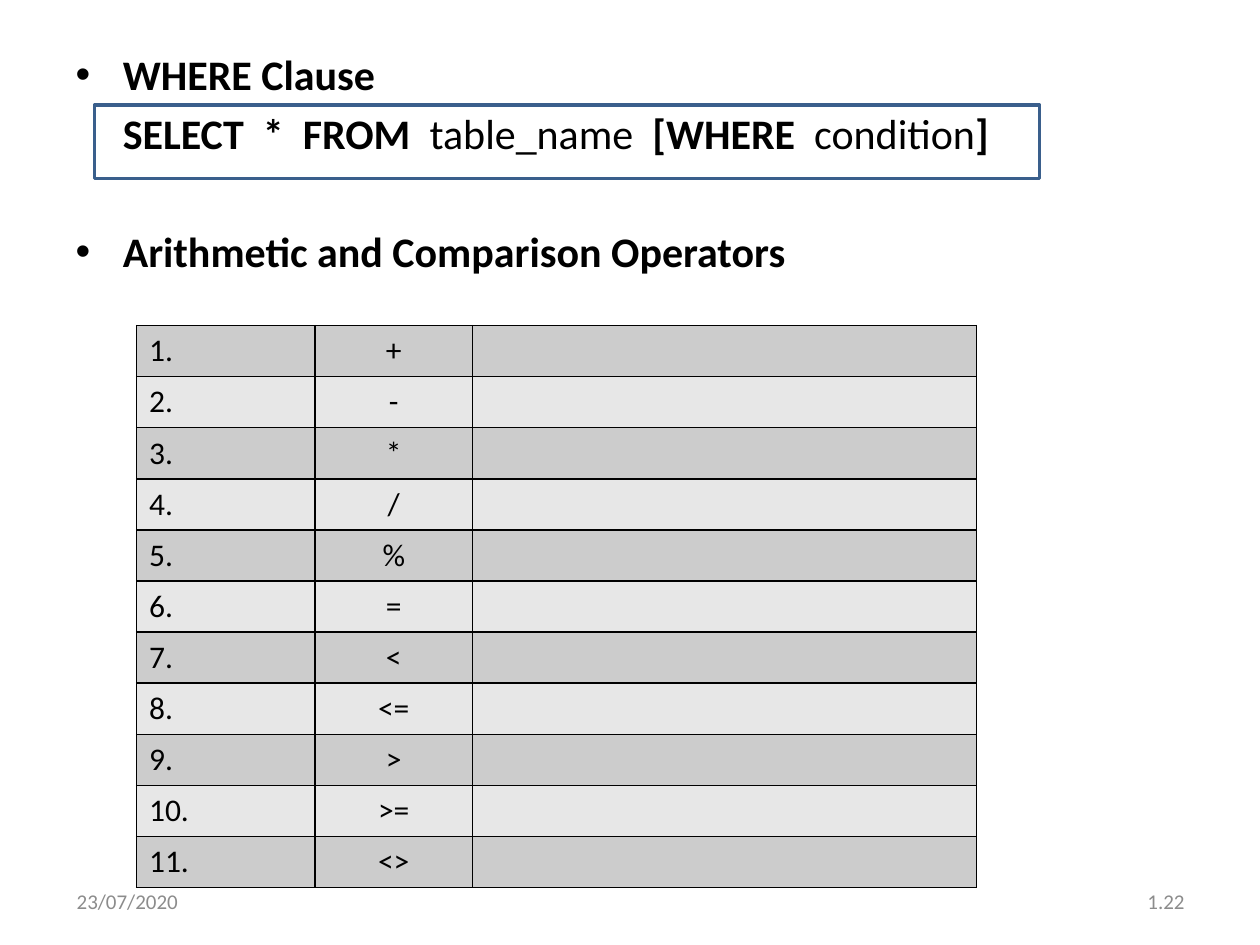
from lxml.etree import SubElement
from pptx import Presentation
from pptx.dml.color import RGBColor
from pptx.enum.shapes import MSO_SHAPE
from pptx.enum.text import MSO_ANCHOR, MSO_AUTO_SIZE, PP_ALIGN
from pptx.oxml.ns import qn
from pptx.util import Pt

COLORS = {
    "text": "000000",
    "footer": "8C8C8C",
    "frame": "3A5F8C",
    "dark_band": "CCCCCC",
    "light_band": "E7E7E7",
    "border": "000000",
}
OPERATORS = ["+", "-", "*", "/", "%", "=", "<", "<=", ">", ">=", "<>"]


class SlideBuilder:
    """Holds the style and the current slide."""

    font = "Calibri"
    hanging = 27

    def __init__(self, page):
        self.page = page

    def color(self, name):
        return RGBColor.from_string(COLORS[name])

    def add_span(self, para, text, size, bold=False, color="text"):
        span = para.add_run()
        span.text = text
        span.font.name = self.font
        span.font.size = Pt(size)
        span.font.bold = bold
        span.font.color.rgb = self.color(color)
        return span

    def body(self, left, top, width, height, paragraphs):
        """Each paragraph is (bulleted, space before, [(text, bold), ...])."""
        box = self.page.placeholders[1]
        box.left, box.top, box.width, box.height = map(Pt, (left, top, width, height))
        frame = box.text_frame
        frame.auto_size = MSO_AUTO_SIZE.NONE
        for index, (bulleted, space, spans) in enumerate(paragraphs):
            para = frame.add_paragraph() if index else frame.paragraphs[0]
            para.space_before = Pt(space)
            props = para._p.get_or_add_pPr()
            props.set("marL", str(Pt(self.hanging)))
            props.set("indent", str(Pt(-self.hanging if bulleted else 0)))
            if bulleted:
                SubElement(props, qn("a:buChar"), char="•")
            else:
                SubElement(props, qn("a:buNone"))
            for text, bold in spans:
                self.add_span(para, text, 24, bold)

    def footer(self, left, text, align):
        box = self.page.shapes.add_textbox(Pt(left), Pt(500.4), Pt(168), Pt(28.8))
        frame = box.text_frame
        frame.word_wrap = True
        frame.vertical_anchor = MSO_ANCHOR.MIDDLE
        para = frame.paragraphs[0]
        para.alignment = align
        self.add_span(para, text, 12, color="footer")

    def outline(self, left, top, width, height):
        box = self.page.shapes.add_shape(
            MSO_SHAPE.RECTANGLE, Pt(left), Pt(top), Pt(width), Pt(height))
        box.shadow.inherit = False
        box.fill.background()
        box.line.color.rgb = self.color("frame")
        box.line.width = Pt(2)

    def border(self, cell):
        props = cell._tc.get_or_add_tcPr()
        for position, side in enumerate(("a:lnL", "a:lnR", "a:lnT", "a:lnB")):
            line = SubElement(props, qn(side), w=str(Pt(1)))
            fill = SubElement(line, qn("a:solidFill"))
            SubElement(fill, qn("a:srgbClr"), val=COLORS["border"])
            props.insert(position, line)

    def table(self, left, top, widths, row_height, rows):
        grid = self.page.shapes.add_table(
            len(rows), len(widths), Pt(left), Pt(top),
            Pt(sum(widths)), Pt(row_height * len(rows))).table
        for column, width in zip(grid.columns, widths):
            column.width = Pt(width)
        for index, values in enumerate(rows):
            grid.rows[index].height = Pt(row_height)
            band = "light_band" if index % 2 else "dark_band"
            for cell, value, align in zip(
                    grid.rows[index].cells, values,
                    (PP_ALIGN.LEFT, PP_ALIGN.CENTER, PP_ALIGN.LEFT)):
                cell.fill.solid()
                cell.fill.fore_color.rgb = self.color(band)
                self.border(cell)
                para = cell.text_frame.paragraphs[0]
                para.alignment = align
                if value:
                    self.add_span(para, value, 18)


def main():
    deck = Presentation()
    deck.slide_width, deck.slide_height = Pt(720), Pt(540)
    page = deck.slides.add_slide(deck.slide_layouts[1])
    # The headings are bullets in the body, so the title goes
    title = page.shapes.title.element
    title.getparent().remove(title)
    builder = SlideBuilder(page)

    # Headings and syntax
    builder.body(36, 24, 648, 458.64, [
        (True, 4.8, [("WHERE Clause", True)]),
        (False, 4.8, [("SELECT  *  FROM  ", True), ("table_name ", False),
                      (" [WHERE  ", True), ("condition", False), ("]", True)]),
        (True, 38.9, [("Arithmetic and Comparison Operators", True)]),
    ])

    # Date and slide number
    builder.footer(36.7, "23/07/2020", PP_ALIGN.LEFT)
    builder.footer(516, "1.22", PP_ALIGN.RIGHT)

    # Frame around the syntax
    builder.outline(54, 60, 540, 42)

    # Operators
    rows = [(f"{number}.", sign, "") for number, sign in enumerate(OPERATORS, 1)]
    builder.table(78, 186, (102, 90, 288), 29.2, rows)

    deck.save("out.pptx")


if __name__ == "__main__":
    main()
